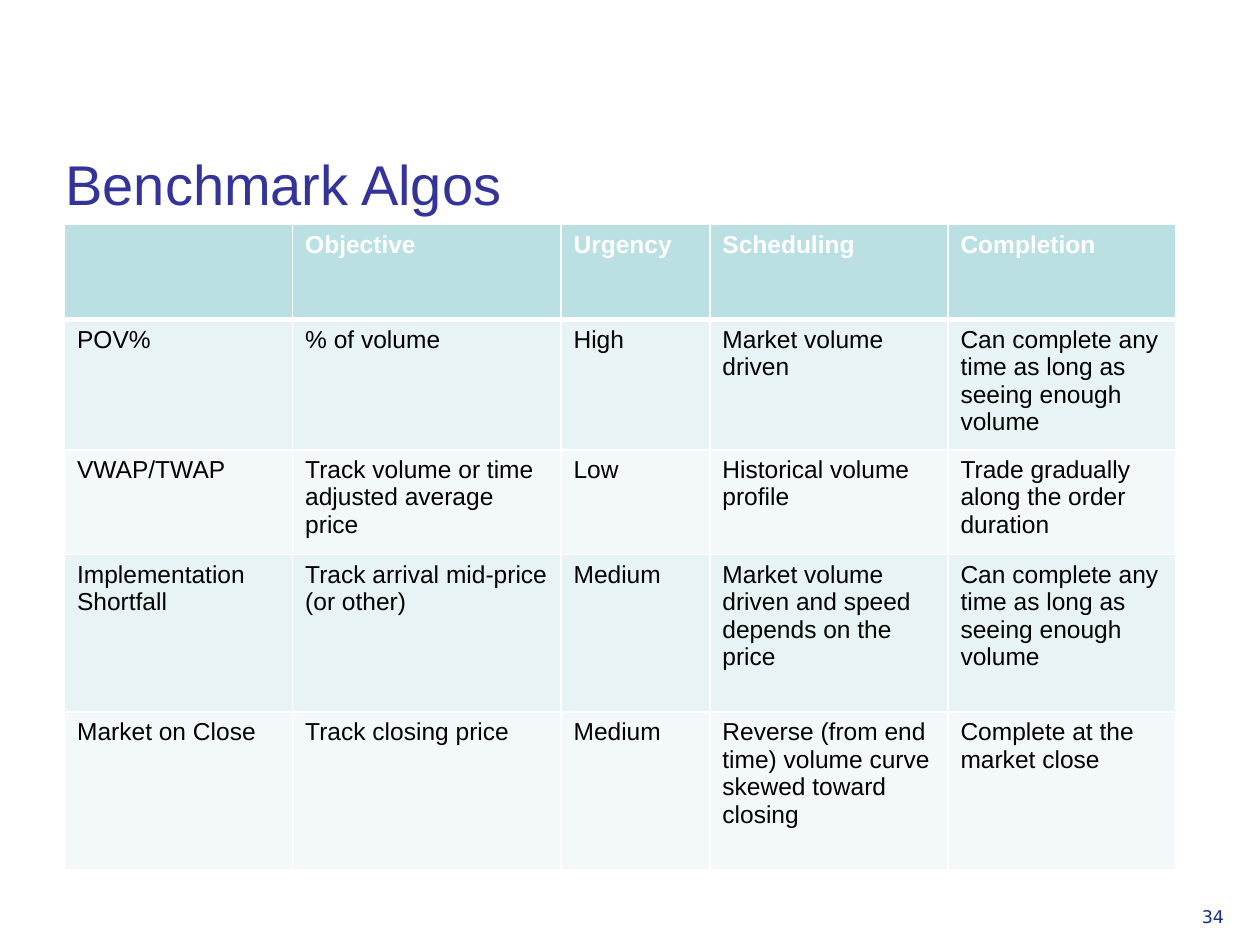
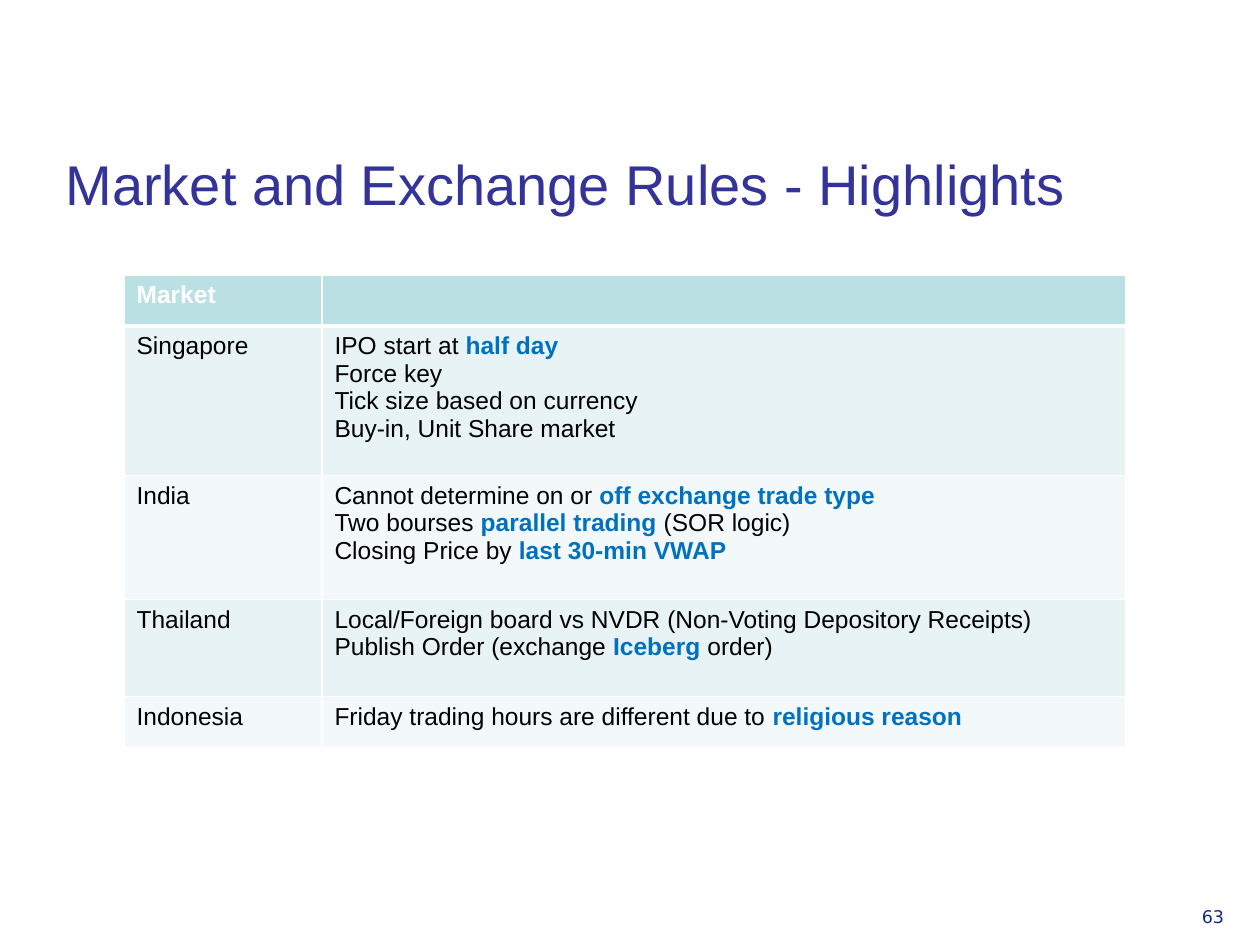
from dataclasses import dataclass

from lxml.etree import SubElement
from pptx import Presentation
from pptx.dml.color import RGBColor
from pptx.enum.text import MSO_ANCHOR
from pptx.oxml.ns import qn
from pptx.util import Cm, Pt


@dataclass(frozen=True)
class Theme:
    title_color: str = "333399"
    number_color: str = "152E82"
    header_fill: str = "BBE0E3"
    band_fills: tuple = ("E7F3F4", "F3F9FA")
    border: str = "FFFFFF"
    header_text: str = "FFFFFF"
    body_text: str = "000000"
    highlight: str = "0070C0"
    font: str = "Arial"
    number_font: str = "DejaVu Sans"
    title_size: int = 32
    table_size: int = 14
    number_size: int = 10
    border_width: int = 1
    header_border_width: int = 3


@dataclass(frozen=True)
class Box:
    left: float
    top: float
    width: float
    height: float

    def lengths(self):
        return Cm(self.left), Cm(self.top), Cm(self.width), Cm(self.height)


THEME = Theme()
TITLE_BOX = Box(1.07, 1.73, 22.43, 2.77)
NUMBER_BOX = Box(23.98, 18.14, 1.4, 0.99)

ALGO_COLUMNS = (4.6, 5.41, 3, 4.8, 4.6)
ALGO_ROWS = (1.91, 2.59, 2.11, 3.18, 3.18)
ALGOS = (
    ("", "Objective", "Urgency", "Scheduling", "Completion"),
    ("POV%", "% of volume", "High", "Market volume driven",
     "Can complete any time as long as seeing enough volume"),
    ("VWAP/TWAP", "Track volume or time adjusted average price", "Low",
     "Historical volume profile", "Trade gradually along the order duration"),
    ("Implementation Shortfall", "Track arrival mid-price (or other)", "Medium",
     "Market volume driven and speed depends on the price",
     "Can complete any time as long as seeing enough volume"),
    ("Market on Close", "Track closing price", "Medium",
     "Reverse (from end time) volume curve skewed toward closing",
     "Complete at the market close"),
)

MARKET_COLUMNS = (3.99, 16.2)
MARKET_ROWS = (1.03, 3.02, 2.5, 1.95, 1.03)
MARKETS = (
    ("Market", ""),
    ("Singapore", "IPO start at *half day*\nForce key\n"
                  "Tick size based on currency\nBuy-in, Unit Share market"),
    ("India", "Cannot determine on or *off exchange trade type*\n"
              "Two bourses *parallel trading *(SOR logic)\n"
              "Closing Price by *last 30-min VWAP*"),
    ("Thailand", "Local/Foreign board vs NVDR (Non-Voting Depository Receipts)\n"
                 "Publish Order (exchange *Iceberg* order)"),
    ("Indonesia", "Friday trading hours are different due to *religious reason*"),
)


def add_run(paragraph, text, size, color, font=THEME.font, bold=False):
    run = paragraph.add_run()
    run.text = text
    run.font.name = font
    run.font.size = Pt(size)
    run.font.bold = bold
    run.font.color.rgb = RGBColor.from_string(color)


def add_text(slide, box, text, size, color, font=THEME.font, anchor=MSO_ANCHOR.TOP):
    frame = slide.shapes.add_textbox(*box.lengths()).text_frame
    frame.word_wrap = True
    frame.vertical_anchor = anchor
    add_run(frame.paragraphs[0], text, size, color, font)


def set_borders(cell, is_header, below_header):
    properties = cell._tc.get_or_add_tcPr()
    for side in "LRTB":
        is_thick = (is_header and side == "B") or (below_header and side == "T")
        width = THEME.header_border_width if is_thick else THEME.border_width
        line = SubElement(properties, qn(f"a:ln{side}"), w=str(Pt(width)))
        fill = SubElement(line, qn("a:solidFill"))
        SubElement(fill, qn("a:srgbClr"), val=THEME.border)


def write_cell(cell, text, is_header):
    base_color = THEME.header_text if is_header else THEME.body_text
    frame = cell.text_frame
    for line_index, line in enumerate(text.split("\n")):
        paragraph = frame.add_paragraph() if line_index else frame.paragraphs[0]
        for part_index, part in enumerate(line.split("*")):
            is_highlight = part_index % 2 == 1
            color = THEME.highlight if is_highlight else base_color
            if part:
                add_run(paragraph, part, THEME.table_size, color,
                        bold=is_header or is_highlight)


def add_table(slide, left, top, column_widths, row_heights, rows):
    box = Box(left, top, sum(column_widths), sum(row_heights))
    table = slide.shapes.add_table(len(rows), len(column_widths), *box.lengths()).table
    for column, width in zip(table.columns, column_widths):
        column.width = Cm(width)
    for row_index, (row, height, texts) in enumerate(zip(table.rows, row_heights, rows)):
        row.height = Cm(height)
        is_header = row_index == 0
        color = THEME.header_fill if is_header else THEME.band_fills[(row_index - 1) % 2]
        for cell, text in zip(row.cells, texts):
            set_borders(cell, is_header, row_index == 1)
            cell.fill.solid()
            cell.fill.fore_color.rgb = RGBColor.from_string(color)
            write_cell(cell, text, is_header)


def add_table_slide(presentation, title, number, *table_layout):
    slide = presentation.slides.add_slide(presentation.slide_layouts[6])
    add_text(slide, TITLE_BOX, title, THEME.title_size, THEME.title_color,
             anchor=MSO_ANCHOR.BOTTOM)
    add_text(slide, NUMBER_BOX, number, THEME.number_size, THEME.number_color,
             THEME.number_font)
    add_table(slide, *table_layout)


def main():
    presentation = Presentation()
    presentation.slide_width = Cm(25.4)
    presentation.slide_height = Cm(19.05)
    add_table_slide(presentation, "Benchmark Algos", "34",
                    1.3, 4.53, ALGO_COLUMNS, ALGO_ROWS, ALGOS)
    add_table_slide(presentation, "Market and Exchange Rules - Highlights", "63",
                    2.5, 5.54, MARKET_COLUMNS, MARKET_ROWS, MARKETS)
    presentation.save("out.pptx")


if __name__ == "__main__":
    main()
